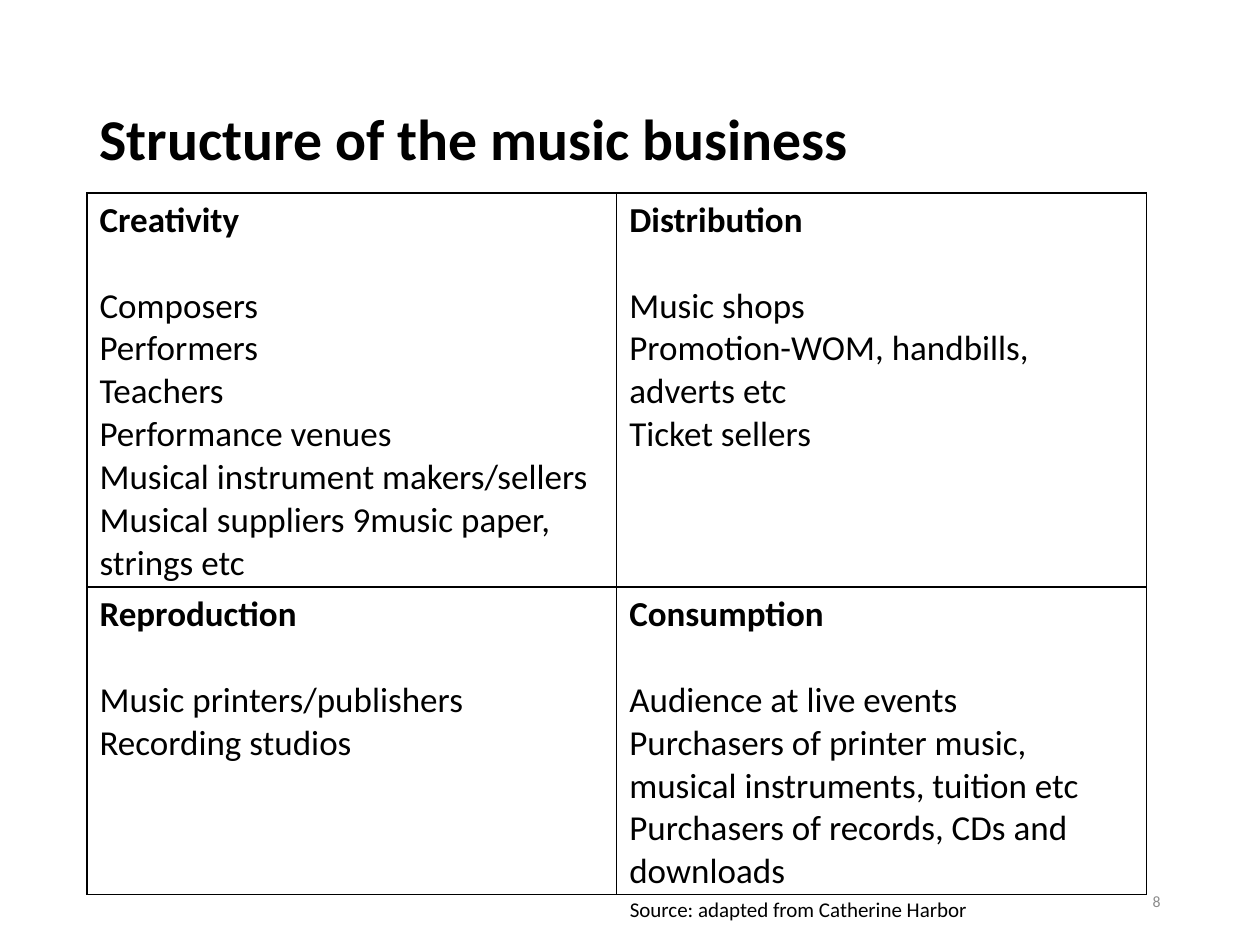
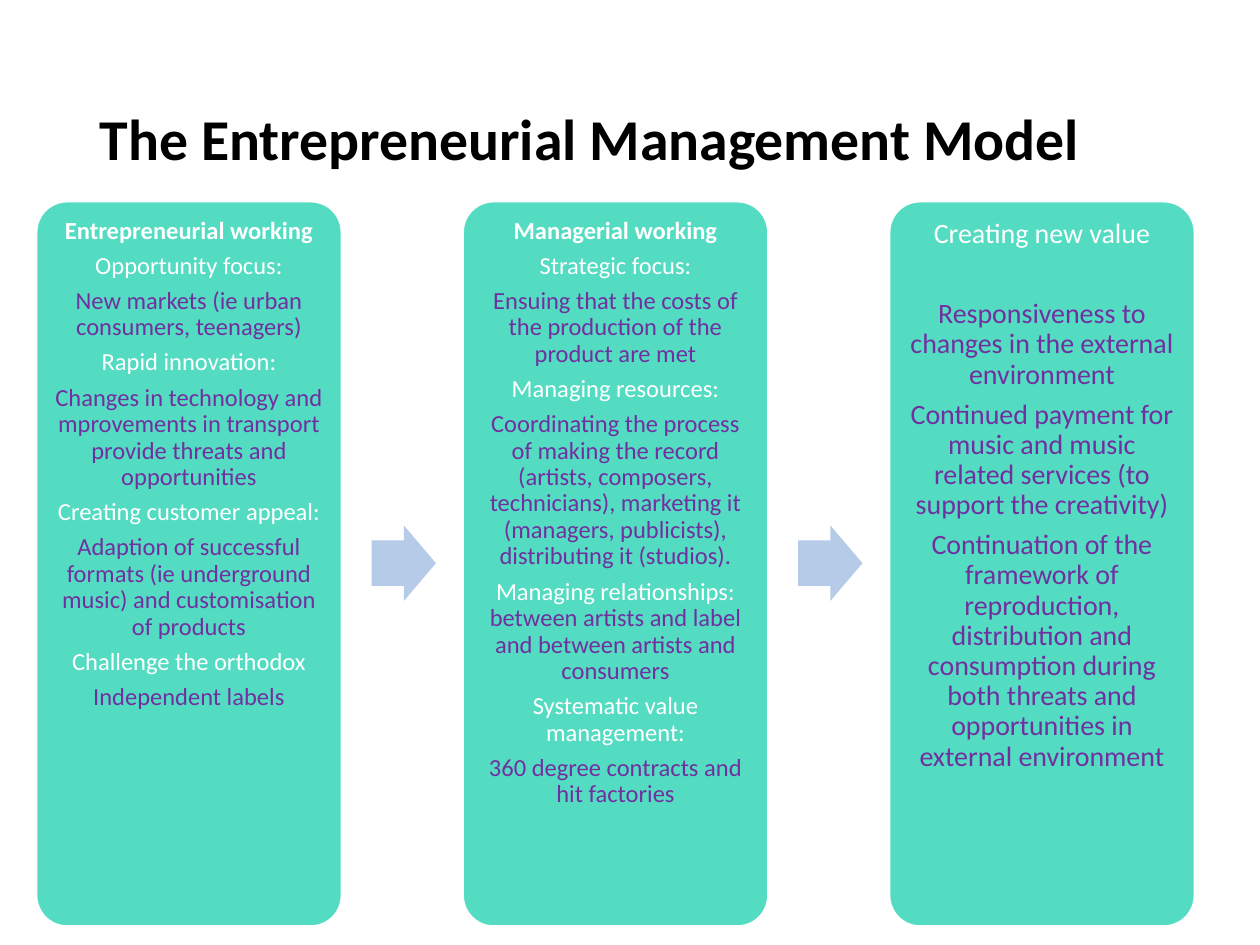
from lxml import etree
from pptx import Presentation
from pptx.dml.color import RGBColor
from pptx.enum.shapes import MSO_SHAPE
from pptx.enum.text import MSO_ANCHOR, MSO_AUTO_SIZE, PP_ALIGN
from pptx.oxml.ns import qn
from pptx.util import Inches, Pt

LEFT, CENTER, RIGHT = PP_ALIGN.LEFT, PP_ALIGN.CENTER, PP_ALIGN.RIGHT
TOP, MIDDLE = MSO_ANCHOR.TOP, MSO_ANCHOR.MIDDLE
ROUNDED, ARROW = MSO_SHAPE.ROUNDED_RECTANGLE, MSO_SHAPE.RIGHT_ARROW
NO_FIT = MSO_AUTO_SIZE.NONE

TITLE_ONLY = 5
FONT = "Calibri"
COLORS = {
    "black": "000000",
    "white": "FFFFFF",
    "grey": "8C8C8C",
    "card": "54DCC2",
    "arrow": "B5CBE7",
    "detail": "7030A0",
}

# Content
STRUCTURE = [
    [
        ("Creativity", ["Composers", "Performers", "Teachers", "Performance venues",
                        "Musical instrument makers/sellers",
                        "Musical suppliers 9music paper, strings etc"]),
        ("Distribution", ["Music shops", "Promotion-WOM, handbills, adverts etc",
                          "Ticket sellers"]),
    ],
    [
        ("Reproduction", ["Music printers/publishers", "Recording studios"]),
        ("Consumption", ["Audience at live events",
                         "Purchasers of printer music, musical instruments, tuition etc",
                         "Purchasers of records, CDs and downloads"]),
    ],
]

# Each card paragraph is a list of (role, text) runs
ENTREPRENEURIAL = [
    [("heading", "Entrepreneurial working")],
    [("label", "Opportunity focus:")],
    [("detail", "New markets (ie urban consumers, teenagers)")],
    [("label", "Rapid innovation:")],
    [("detail", "Changes in technology and mprovements in transport provide "
                "threats and opportunities")],
    [("label", "Creating customer appeal:")],
    [("detail", "Adaption of successful formats (ie underground music) and "
                "customisation of products")],
    [("label", "Challenge the orthodox")],
    [("detail", "Independent labels")],
]
MANAGERIAL = [
    [("heading", "Managerial working")],
    [("label", "Strategic focus:")],
    [("detail", "Ensuing that the costs of the production of the product are met")],
    [("label", "Managing resources:")],
    [("detail", "Coordinating the process of making the record (artists, composers, "
                "technicians), marketing it (managers, publicists), "
                "distributing it (studios).")],
    [("label", "Managing relationships: "),
     ("detail", "between artists and label and between artists and consumers")],
    [("label", "Systematic value management:")],
    [("detail", "360 degree contracts and hit factories")],
]
NEW_VALUE = [
    [("label", "Creating new value")],
    [("detail", "Responsiveness to changes in the external environment")],
    [("detail", "Continued payment for music and music related services "
                "(to support the creativity)")],
    [("detail", "Continuation of the framework of reproduction, distribution and "
                "consumption during both threats and opportunities in "
                "external environment")],
]
# Paragraphs, text size, inset, space after the first paragraph
CARDS = [
    (ENTREPRENEURIAL, 14, 0.06, 4.9),
    (MANAGERIAL, 14, 0.06, 4.9),
    (NEW_VALUE, 16, 0.07, 28.5),
]
ROLES = {
    "heading": {"color": "white", "bold": True},
    "label": {"color": "white"},
    "detail": {"color": "detail"},
}


def rgb(name):
    return RGBColor.from_string(COLORS[name])


def apply(target, values):
    for name, value in values.items():
        setattr(target, name, value)


class Deck:
    """Holds the shared style and the slide being built."""

    def __init__(self):
        self.presentation = Presentation()
        apply(self.presentation, {"slide_width": Inches(10), "slide_height": Inches(7.5)})
        self.slide = None

    def add_slide(self, title):
        layout = self.presentation.slide_layouts[TITLE_ONLY]
        self.slide = self.presentation.slides.add_slide(layout)
        shape = self.slide.shapes.title
        apply(shape, {"left": Inches(0.69), "top": Inches(0.4),
                      "width": Inches(8.62), "height": Inches(1.45)})
        apply(shape.text_frame, {"vertical_anchor": MIDDLE, "auto_size": NO_FIT})
        paragraph = shape.text_frame.paragraphs[0]
        apply(paragraph, {"alignment": LEFT, "line_spacing": 0.9})
        self.run(paragraph, title, 33, bold=True)

    def run(self, paragraph, text, size, color="black", bold=False):
        run = paragraph.add_run()
        run.text = text
        apply(run.font, {"name": FONT, "size": Pt(size), "bold": bold})
        run.font.color.rgb = rgb(color)

    def paragraphs(self, frame, count):
        """Yield the frame's first paragraph, then new ones up to count."""
        yield frame.paragraphs[0]
        for _ in range(count - 1):
            yield frame.add_paragraph()

    def text(self, box, text, size, color="black", align=LEFT, anchor=TOP):
        shape = self.slide.shapes.add_textbox(*map(Inches, box))
        apply(shape.text_frame, {"word_wrap": True, "vertical_anchor": anchor})
        paragraph = shape.text_frame.paragraphs[0]
        paragraph.alignment = align
        self.run(paragraph, text, size, color)

    def shape(self, kind, box, fill, adjustments, line=None):
        shape = self.slide.shapes.add_shape(kind, *map(Inches, box))
        shape.shadow.inherit = False
        shape.fill.solid()
        shape.fill.fore_color.rgb = rgb(fill)
        for index, value in enumerate(adjustments):
            shape.adjustments[index] = value
        if line:
            shape.line.color.rgb = rgb(line)
            shape.line.width = Pt(1)
        else:
            shape.line.fill.background()
        return shape

    def card(self, box, content, size, inset, first_gap):
        frame = self.shape(ROUNDED, box, "card", [0.1], line="white").text_frame
        apply(frame, {"word_wrap": True, "vertical_anchor": TOP})
        apply(frame, {f"margin_{side}": Inches(inset)
                      for side in ("left", "top", "right", "bottom")})
        for index, paragraph in enumerate(self.paragraphs(frame, len(content))):
            gap = size * 0.35 if index else first_gap
            apply(paragraph, {"alignment": CENTER, "line_spacing": 0.9,
                              "space_after": Pt(gap)})
            for role, text in content[index]:
                self.run(paragraph, text, size, **ROLES[role])

    def border(self, cell):
        properties = cell._tc.get_or_add_tcPr()
        for position, side in enumerate(("lnL", "lnR", "lnT", "lnB")):
            line = etree.Element(qn(f"a:{side}"), w=str(Pt(1)))
            fill = etree.SubElement(line, qn("a:solidFill"))
            etree.SubElement(fill, qn("a:srgbClr"), val=COLORS["black"])
            properties.insert(position, line)

    def table(self, box, heights, rows, size):
        frame = self.slide.shapes.add_table(len(rows), len(rows[0]), *map(Inches, box))
        table = frame.table
        apply(table, {"first_row": False, "horz_banding": False})
        for row, height, contents in zip(table.rows, heights, rows):
            row.height = Inches(height)
            for cell, (heading, items) in zip(row.cells, contents):
                cell.fill.solid()
                cell.fill.fore_color.rgb = rgb("white")
                self.border(cell)
                lines = [heading, *items]
                slots = self.paragraphs(cell.text_frame, len(lines))
                for index, paragraph in enumerate(slots):
                    self.run(paragraph, lines[index], size, bold=index == 0)
                cell.text_frame.paragraphs[0].space_after = Pt(24.4)


def build_structure(deck):
    deck.add_slide("Structure of the music business")
    deck.text((7.06, 6.95, 2.25, 0.4), "8", 9, "grey", RIGHT, MIDDLE)
    deck.text((4.9, 7.07, 4.17, 0.3), "Source: adapted from Catherine Harbor", 12)
    deck.table((0.69, 1.53, 8.41, 5.56), (3.13, 2.43), STRUCTURE, 20)


def build_model(deck):
    deck.add_slide("The Entrepreneurial Management Model")
    first_left, last_left = 0.29, 7.06
    pitch = (last_left - first_left) / (len(CARDS) - 1)
    for index, card in enumerate(CARDS):
        left = first_left + index * pitch
        deck.card((left, 1.6, 2.42, 5.75), *card)
        # An arrow leads on to the next card
        if index < len(CARDS) - 1:
            deck.shape(ARROW, (left + 2.66, 4.17, 0.51, 0.6), "arrow", [0.6, 0.5])


def main():
    deck = Deck()
    build_structure(deck)
    build_model(deck)
    deck.presentation.save("out.pptx")


if __name__ == "__main__":
    main()
